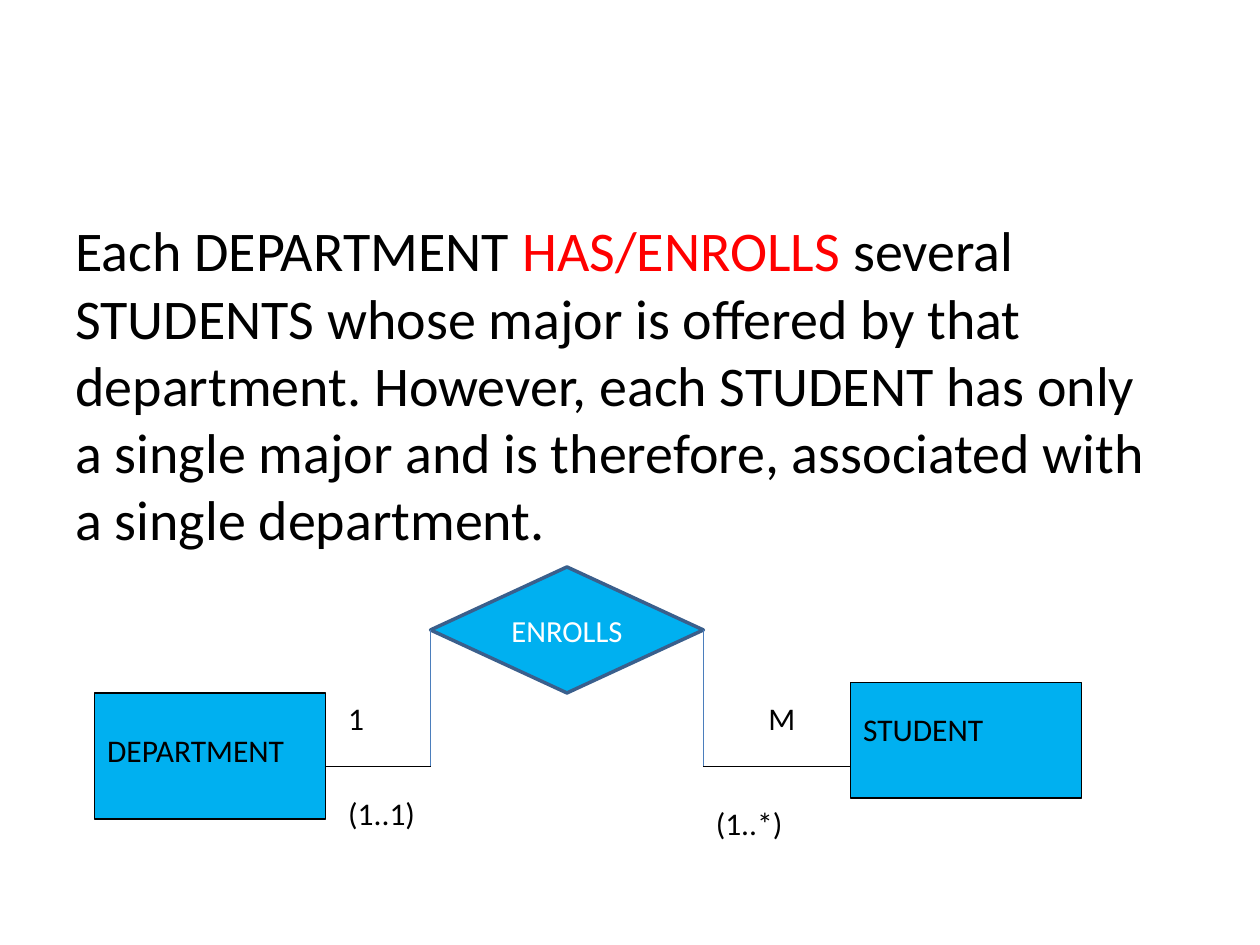
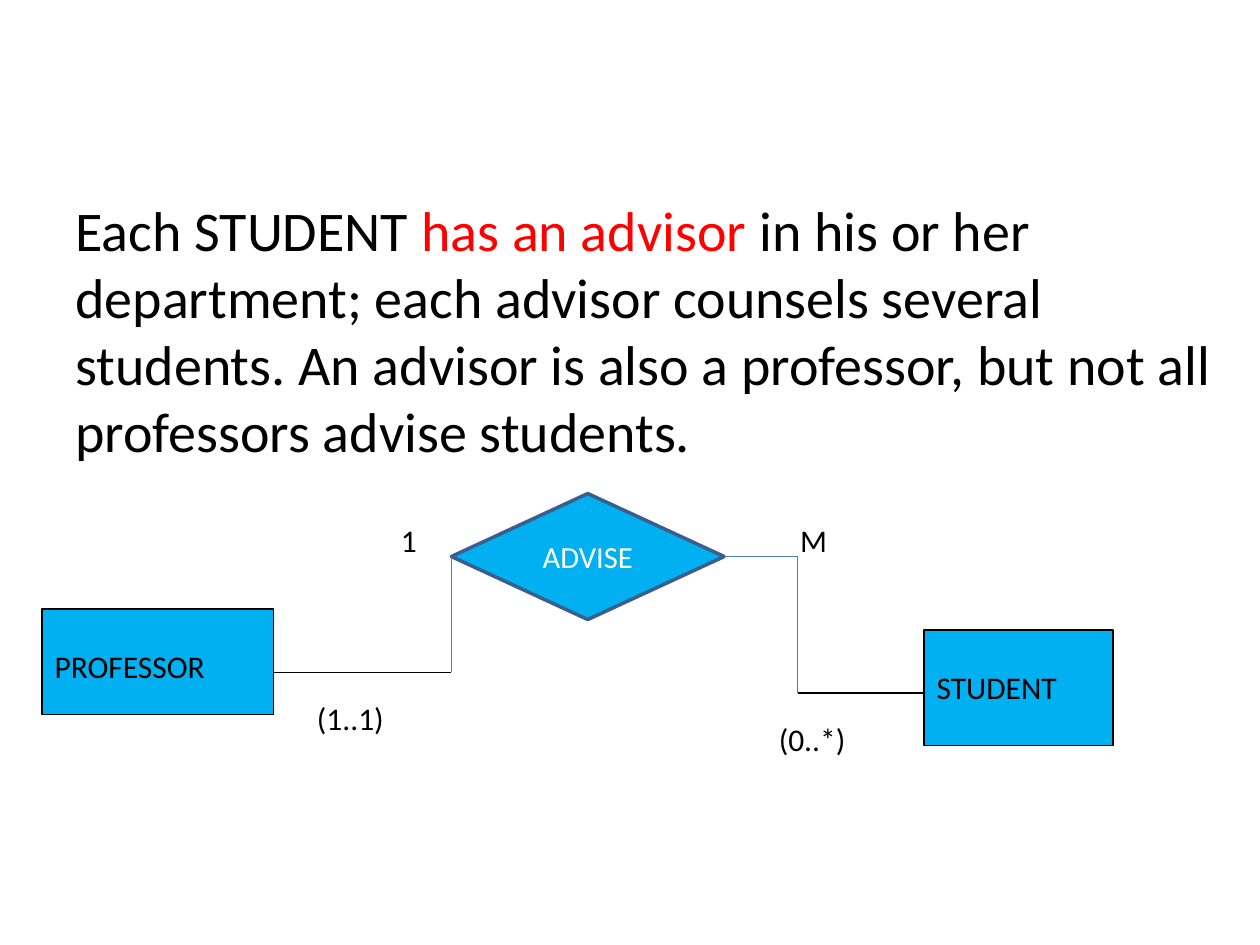
from pptx import Presentation
from pptx.dml.color import RGBColor
from pptx.enum.shapes import MSO_CONNECTOR, MSO_SHAPE
from pptx.enum.text import MSO_ANCHOR, PP_ALIGN
from pptx.oxml.ns import qn
from pptx.util import Cm, Pt
from lxml.etree import SubElement

FONT = "Calibri"
BLACK, WHITE, RED = "000000", "FFFFFF", "FF0000"
FILL, EDGE, BLUE = "00B0F0", "3A5F8C", "4B7EBC"
GEM_W, GEM_H = 5.5, 2.54

PAGES = [
    {
        "story": [
            ("Each DEPARTMENT ", BLACK),
            ("HAS/ENROLLS", RED),
            (" several STUDENTS whose major is offered by that department. "
             "However, each STUDENT has only a single major and is therefore, "
             "associated with a single department.", BLACK),
        ],
        "frame": (1.27, 4.23, 22.65, 7.09),
        "gem": ("ENROLLS", 8.68, 11.43),
        "left": {"name": "DEPARTMENT", "box": (1.91, 13.97, 4.66, 2.54),
                 "drop": 0.64, "span": 6.35, "wire": 15.45, "out": 0},
        "right": {"name": "STUDENT", "box": (17.15, 13.76, 4.66, 2.33),
                  "drop": 0.42, "span": 4.66, "wire": 15.45, "out": 0},
        "marks": [("1", 6.77, 13.97, 1.48), ("M", 15.24, 13.97, 1.69),
                  ("(1..1)", 6.77, 15.88, 3.6), ("(1..*)", 14.18, 16.09, 2.96)],
    },
    {
        "story": [
            ("Each STUDENT ", BLACK),
            ("has an advisor", RED),
            (" in his or her department; each advisor counsels several "
             "students. An advisor is also a professor, but not all "
             "professors advise students.", BLACK),
        ],
        "frame": (1.27, 3.81, 23.5, 5.74),
        "gem": ("ADVISE", 9.1, 9.95),
        "left": {"name": "PROFESSOR", "box": (0.85, 12.28, 4.66, 2.12),
                 "drop": 0.64, "span": 6.78, "wire": 13.55, "out": 0},
        "right": {"name": "STUDENT", "box": (18.63, 12.7, 3.81, 2.33),
                  "drop": 0.64, "span": 5.72, "wire": 13.97, "out": 1.48},
        "marks": [("1", 7.83, 10.37, 1.06), ("M", 15.88, 10.37, 1.48),
                  ("(1..1)", 6.14, 13.97, 2.75), ("(0..*)", 15.45, 14.39, 2.96)],
    },
]


def tint(code):
    return RGBColor.from_string(code)


def write(frame, text, size=18, color=BLACK, align=PP_ALIGN.LEFT,
          anchor=MSO_ANCHOR.TOP):
    frame.word_wrap = True
    frame.vertical_anchor = anchor
    para = frame.paragraphs[0]
    para.alignment = align
    parts = [(text, color)] if isinstance(text, str) else text
    for words, shade in parts:
        run = para.add_run()
        run.text = words
        run.font.name = FONT
        run.font.size = Pt(size)
        run.font.color.rgb = tint(shade)


def label(slide, text, x, y, w, h=1.27, **style):
    box = slide.shapes.add_textbox(Cm(x), Cm(y), Cm(w), Cm(h))
    write(box.text_frame, text, **style)


def block(slide, kind, x, y, w, h, line=BLACK, width=0.75):
    shape = slide.shapes.add_shape(kind, Cm(x), Cm(y), Cm(w), Cm(h))
    shape.shadow.inherit = False
    shape.fill.solid()
    shape.fill.fore_color.rgb = tint(FILL)
    shape.line.color.rgb = tint(line)
    shape.line.width = Pt(width)
    return shape


def wire(slide, start, end, color):
    line = slide.shapes.add_connector(
        MSO_CONNECTOR.STRAIGHT, *(Cm(v) for v in start + end))
    line.line.color.rgb = tint(color)
    line.line.width = Pt(0.75)
    SubElement(line._element.spPr, qn("a:effectLst"))


def link(slide, side, edge, tip):
    level = side["wire"]
    bend = tip[0] + side["out"]
    wire(slide, (edge, level), (bend, level), BLACK)
    wire(slide, (bend, tip[1]), (bend, level), BLUE)
    if side["out"]:
        wire(slide, tip, (bend, tip[1]), BLUE)


def draw(slide, page):
    label(slide, page["story"], *page["frame"], size=32)
    left, right = page["left"], page["right"]
    for side in (left, right):
        x, y, w, h = side["box"]
        block(slide, MSO_SHAPE.RECTANGLE, x, y, w, h)
        label(slide, side["name"], x, y + side["drop"], side["span"])
    for mark in page["marks"]:
        label(slide, *mark)
    name, x, y = page["gem"]
    gem = block(slide, MSO_SHAPE.FLOWCHART_DECISION, x, y, GEM_W, GEM_H,
                line=EDGE, width=2)
    write(gem.text_frame, name, size=17.5, color=WHITE,
          align=PP_ALIGN.CENTER, anchor=MSO_ANCHOR.MIDDLE)
    mid = y + GEM_H / 2
    link(slide, left, left["box"][0] + left["box"][2], (x, mid))
    link(slide, right, right["box"][0], (x + GEM_W, mid))


def main():
    deck = Presentation()
    deck.slide_width, deck.slide_height = Cm(25.4), Cm(19.05)
    for page in PAGES:
        draw(deck.slides.add_slide(deck.slide_layouts[6]), page)
    deck.save("out.pptx")


if __name__ == "__main__":
    main()
